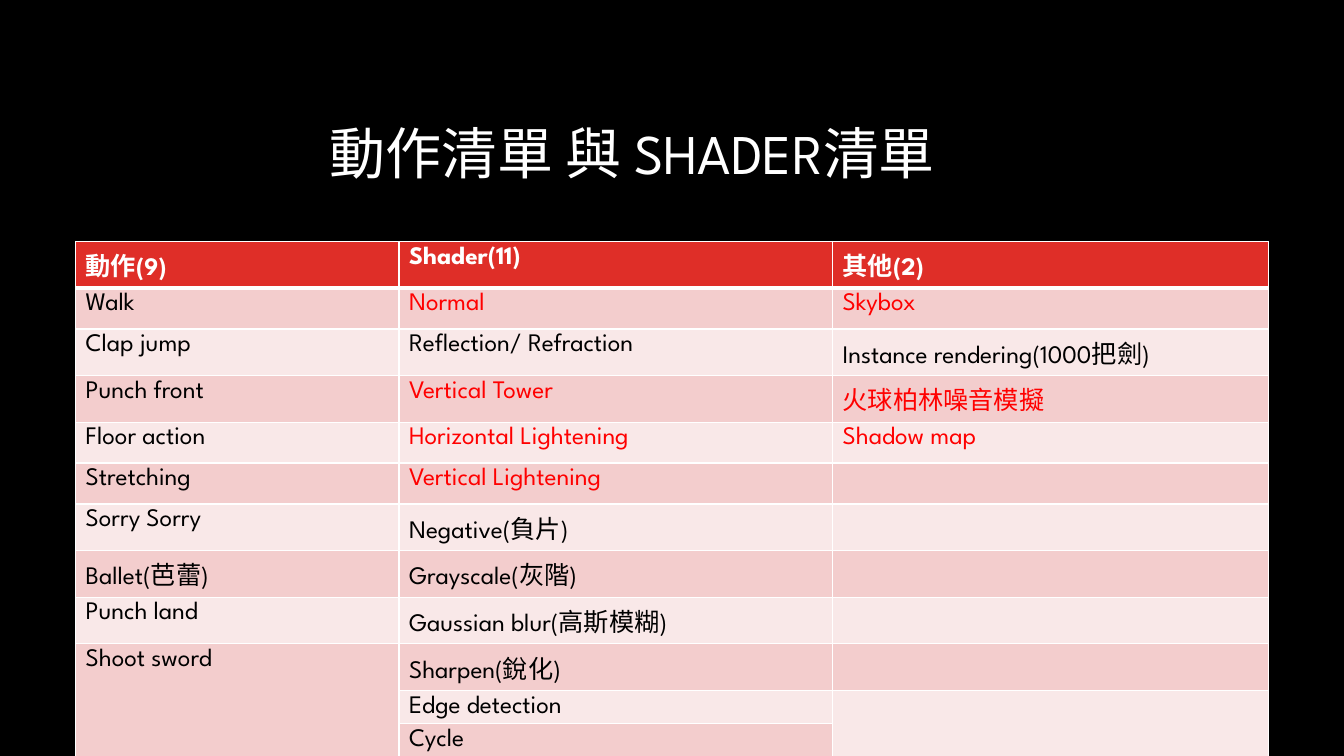
"""Build a slide that lists actions, shaders and other effects in a table."""
from dataclasses import dataclass

from lxml.etree import SubElement
from pptx import Presentation
from pptx.dml.color import RGBColor as Color
from pptx.enum.text import MSO_ANCHOR as Anchor, MSO_AUTO_SIZE as AutoSize, PP_ALIGN as Align
from pptx.oxml.ns import qn
from pptx.slide import Slide
from pptx.table import Table, _Cell as Cell
from pptx.text.text import _Paragraph as Paragraph
from pptx.util import Emu, Pt

EMU_PER_PX = 9525


@dataclass(frozen=True)
class Theme:
    font: str = "League Spartan"
    title_size: int = 40
    table_size: int = 18
    background: str = "000000"
    light: str = "FFFFFF"
    dark: str = "000000"
    accent: str = "FF0000"
    header: str = "DF2E28"
    bands: tuple[str, str] = ("F3CDCD", "F9E8E8")
    border: int = 1
    header_border: int = 3


@dataclass(frozen=True)
class Entry:
    text: str
    accented: bool = False


@dataclass(frozen=True)
class Column:
    heading: str
    width: int
    entries: tuple[Entry, ...]


@dataclass(frozen=True)
class Merge:
    column: int
    first_row: int
    last_row: int


THEME = Theme()
ROW_HEIGHTS = (*[39] * 7, 13, 25, *[19] * 3)
COLUMNS = (
    Column("動作(9)", 308, (
        Entry("Walk"), Entry("Clap jump"), Entry("Punch front"),
        Entry("Floor action"), Entry("Stretching"), Entry("Sorry Sorry"),
        Entry("Ballet(芭蕾)"), Entry("Punch land"), Entry("Shoot sword"),
    )),
    Column("Shader(11)", 413, (
        Entry("Normal", True), Entry("Reflection/ Refraction"),
        Entry("Vertical Tower", True), Entry("Horizontal Lightening", True),
        Entry("Vertical Lightening", True), Entry("Negative(負片)"),
        Entry("Grayscale(灰階)"), Entry("Gaussian blur(高斯模糊)"),
        Entry("Sharpen(銳化)"), Entry("Edge detection"), Entry("Cycle"),
    )),
    Column("其他(2)", 415, (
        Entry("Skybox", True), Entry("Instance rendering(1000把劍)"),
        Entry("火球柏林噪音模擬", True), Entry("Shadow map", True),
    )),
)
MERGES = (Merge(0, 9, 11), Merge(2, 10, 11))


def px(length: int) -> Emu:
    """Turn a length in px into EMU."""
    return Emu(length * EMU_PER_PX)


def add_run(paragraph: Paragraph, text: str, size: int, color: str, bold: bool = False) -> None:
    """Add one formatted run to a paragraph."""
    run = paragraph.add_run()
    run.text = text
    run.font.name = THEME.font
    run.font.size = Pt(size)
    run.font.bold = bold
    run.font.color.rgb = Color.from_string(color)


def add_title(slide: Slide) -> None:
    """Place and fill the title placeholder."""
    title = slide.shapes.title
    title.left, title.top, title.width, title.height = px(304), px(81), px(904), px(135)
    frame = title.text_frame
    frame.auto_size = AutoSize.NONE
    frame.vertical_anchor = Anchor.MIDDLE
    paragraph = frame.paragraphs[0]
    paragraph.alignment = Align.LEFT
    paragraph.line_spacing = 0.9
    add_run(paragraph, "動作清單 與 SHADER清單", THEME.title_size, THEME.light)


def set_borders(cell: Cell, top: int, bottom: int) -> None:
    """Draw the four borders of a cell, with widths in points."""
    properties = cell._tc.get_or_add_tcPr()
    widths = {"a:lnL": THEME.border, "a:lnR": THEME.border, "a:lnT": top, "a:lnB": bottom}
    for tag, width in widths.items():
        line = SubElement(properties, qn(tag), w=str(Pt(width)))
        fill = SubElement(line, qn("a:solidFill"))
        SubElement(fill, qn("a:srgbClr"), val=THEME.light)


def format_cell(cell: Cell, row: int) -> None:
    """Give a cell its borders and the fill of its row."""
    set_borders(
        cell,
        THEME.header_border if row == 1 else THEME.border,
        THEME.header_border if row == 0 else THEME.border,
    )
    cell.fill.solid()
    color = THEME.header if row == 0 else THEME.bands[(row - 1) % 2]
    cell.fill.fore_color.rgb = Color.from_string(color)


def fill_column(table: Table, index: int, column: Column) -> None:
    """Format one table column and write its heading and entries."""
    table.columns[index].width = px(column.width)
    for row in range(len(ROW_HEIGHTS)):
        format_cell(table.cell(row, index), row)
    heading = table.cell(0, index).text_frame.paragraphs[0]
    add_run(heading, column.heading, THEME.table_size, THEME.light, bold=True)
    for row, entry in enumerate(column.entries, start=1):
        paragraph = table.cell(row, index).text_frame.paragraphs[0]
        color = THEME.accent if entry.accented else THEME.dark
        add_run(paragraph, entry.text, THEME.table_size, color)


def add_list_table(slide: Slide) -> None:
    """Add the table of actions, shaders and other effects."""
    width = sum(column.width for column in COLUMNS)
    frame = slide.shapes.add_table(
        len(ROW_HEIGHTS), len(COLUMNS), px(72), px(230), px(width), px(sum(ROW_HEIGHTS))
    )
    table = frame.table
    for row, height in zip(table.rows, ROW_HEIGHTS):
        row.height = px(height)
    for index, column in enumerate(COLUMNS):
        fill_column(table, index, column)
    for merge in MERGES:
        table.cell(merge.first_row, merge.column).merge(table.cell(merge.last_row, merge.column))


def main() -> None:
    """Build and save the presentation."""
    presentation = Presentation()
    presentation.slide_width, presentation.slide_height = px(1280), px(720)
    slide = presentation.slides.add_slide(presentation.slide_layouts[5])
    background = slide.background.fill
    background.solid()
    background.fore_color.rgb = Color.from_string(THEME.background)
    add_title(slide)
    add_list_table(slide)
    presentation.save("out.pptx")


if __name__ == "__main__":
    main()
